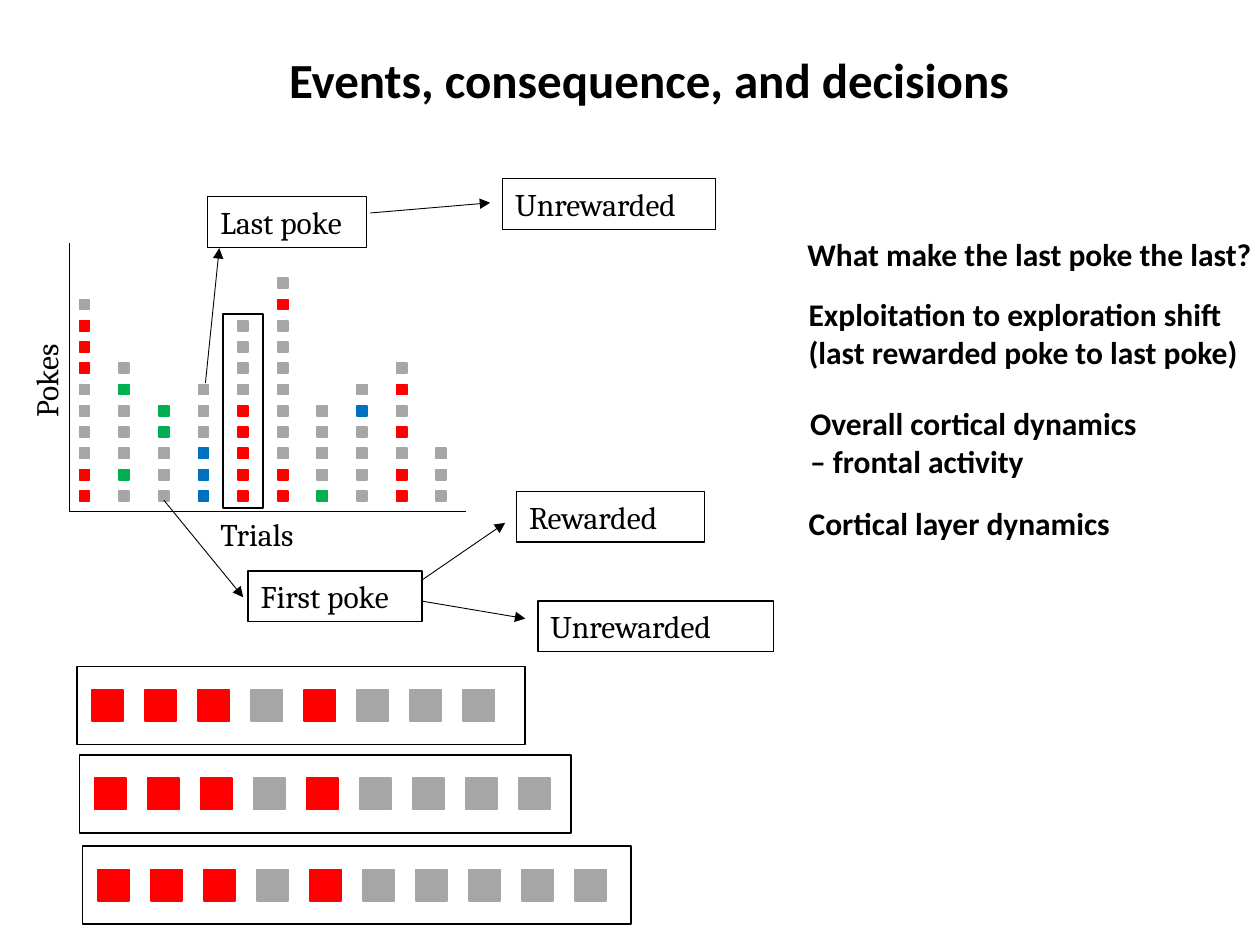
from pptx import Presentation
from pptx.dml.color import RGBColor
from pptx.enum.shapes import MSO_CONNECTOR, MSO_SHAPE
from pptx.enum.text import MSO_ANCHOR, PP_ALIGN
from pptx.oxml.ns import qn
from pptx.util import Pt
from lxml import etree

RECTANGLE = MSO_SHAPE.RECTANGLE
STRAIGHT = MSO_CONNECTOR.STRAIGHT
MIDDLE, TOP = MSO_ANCHOR.MIDDLE, MSO_ANCHOR.TOP
CENTER, LEFT = PP_ALIGN.CENTER, PP_ALIGN.LEFT

COLORS = {"ink": "000000", "R": "FF0000", "A": "A6A6A6", "G": "00B050", "B": "0070C0"}

TRIALS = ["RRAAAARRRA", "AGAAAGA", "AAAGG", "BBBAAA", "RRRRRAAAA",
          "RRAAAAAAARA", "GAAAA", "AAAABA", "RRARARA", "AAA"]
TRIAL_LEFT, TRIAL_STEP = 45.4, 22.65
POKE_BOTTOM, POKE_STEP, POKE_SIZE = 280.5, 12.16, 5.8

AXES = [(39.6, 139, 39.6, 292.3), (39.6, 292.3, 266.4, 292.3)]
ARROWS = [(211.7, 121.7, 280.1, 115.9), (117.4, 218.9, 125.3, 141.8),
          (93.6, 285.8, 139, 341.3), (240.5, 331.9, 288.7, 298.8),
          (240.5, 343.4, 300.2, 353.5)]
OUTCOMES = [("Last poke", 118.8, 112.3, 90.7), ("First poke", 141.8, 326.2, 99.4),
            ("Unrewarded", 287.3, 102.2, 121.7), ("Rewarded", 295.2, 280.8, 107.3),
            ("Unrewarded", 307.4, 343.4, 134.6)]
QUESTIONS = [
    (["What make the last poke the last?"], 454.3, 131, 270.7, 28.8, False),
    (["Exploitation to exploration shift", "(last rewarded poke to last poke)"],
     455, 164.9, 261.4, 51.1, False),
    (["Overall cortical dynamics – frontal activity"], 455.8, 227.5, 210.2, 51.1, True),
    (["Cortical layer dynamics"], 455, 284.4, 200.9, 28.8, True),
]
SEQUENCES = [("RRRARAAA", 43.9, 380.9, 256.3), ("RRRARAAAA", 45.4, 431.3, 280.8),
             ("RRRARAAAAA", 47.2, 483.5, 313.2)]
SEQUENCE_HEIGHT, EVENT_SIZE, EVENT_STEP = 44.6, 18, 30.3


class SlideBuilder:
    """Draws styled elements on one slide, with lengths in points."""

    def __init__(self, slide):
        self.slide = slide
        self.heading_font, self.label_font = "Calibri", "Cambria"
        self.text_size, self.title_size = 18, 28

    def color(self, key):
        return RGBColor.from_string(COLORS[key])

    def add_lines(self, frame, lines, font, size, bold=False, align=LEFT):
        for number, line in enumerate(lines):
            paragraph = frame.add_paragraph() if number else frame.paragraphs[0]
            paragraph.alignment = align
            run = paragraph.add_run()
            run.text = line
            run.font.name, run.font.size, run.font.bold = font, Pt(size), bold
            run.font.color.rgb = self.color("ink")

    def title(self, text, left, top, width, height):
        title = self.slide.shapes.title
        title.left, title.top, title.width, title.height = map(Pt, (left, top, width, height))
        title.text_frame.vertical_anchor = MIDDLE
        self.add_lines(title.text_frame, [text], self.heading_font, self.title_size, True, CENTER)
        title.text_frame.paragraphs[0].line_spacing = 0.9

    def text(self, lines, left, top, width, height, font, bold=False, wrap=True, rotation=0):
        box = self.slide.shapes.add_textbox(*map(Pt, (left, top, width, height)))
        box.rotation = rotation
        box.text_frame.word_wrap = wrap
        self.add_lines(box.text_frame, lines, font, self.text_size, bold)

    def rectangle(self, left, top, width, height, fill=None, line_width=1, shapes=None):
        shapes = self.slide.shapes if shapes is None else shapes
        rectangle = shapes.add_shape(RECTANGLE, *map(Pt, (left, top, width, height)))
        rectangle.shadow.inherit = False
        if fill:
            rectangle.fill.solid()
            rectangle.fill.fore_color.rgb = self.color(fill)
        else:
            rectangle.fill.background()
        rectangle.line.color.rgb = self.color(fill or "ink")
        rectangle.line.width = Pt(line_width)
        return rectangle

    def outcome(self, label, left, top, width):
        frame = self.rectangle(left, top, width, 29, line_width=0.75).text_frame
        frame.word_wrap = True
        frame.vertical_anchor = TOP
        self.add_lines(frame, [label], self.label_font, self.text_size)

    def line(self, ends, arrow=False):
        connector = self.slide.shapes.add_connector(STRAIGHT, *map(Pt, ends))
        connector.line.color.rgb = self.color("ink")
        connector.line.width = Pt(0.5)
        properties = connector._element.spPr
        if arrow:
            etree.SubElement(properties.find(qn("a:ln")), qn("a:tailEnd"), type="triangle")
        etree.SubElement(properties, qn("a:effectLst"))

    def trial(self, pokes, left):
        for row, outcome in enumerate(pokes):
            self.rectangle(left, POKE_BOTTOM - row * POKE_STEP, POKE_SIZE, POKE_SIZE, outcome)

    def sequence(self, events, left, top, width):
        shapes = self.slide.shapes.add_group_shape().shapes
        event_top = top + (SEQUENCE_HEIGHT - EVENT_SIZE) / 2
        for column, outcome in enumerate(events):
            self.rectangle(left + 8.6 + column * EVENT_STEP, event_top,
                           EVENT_SIZE, EVENT_SIZE, outcome, shapes=shapes)
        self.rectangle(left, top, width, SEQUENCE_HEIGHT, shapes=shapes)


def main():
    deck = Presentation()
    deck.slide_width, deck.slide_height = Pt(720), Pt(540)
    builder = SlideBuilder(deck.slides.add_slide(deck.slide_layouts[5]))

    builder.title("Events, consequence, and decisions", 60.5, 26.6, 620.6, 41)
    for axis in AXES:
        builder.line(axis)
    for column, pokes in enumerate(TRIALS):
        builder.trial(pokes, TRIAL_LEFT + column * TRIAL_STEP)
    builder.text(["Trials"], 118.8, 290.9, 59.8, 28.1, builder.label_font)
    builder.text(["Pokes"], -12.2, 193, 77, 28.8, builder.label_font, rotation=270)
    for outcome in OUTCOMES:
        builder.outcome(*outcome)
    for arrow in ARROWS:
        builder.line(arrow, arrow=True)
    builder.rectangle(127.4, 179.3, 23, 110.9)
    for lines, left, top, width, height, wrap in QUESTIONS:
        builder.text(lines, left, top, width, height, builder.heading_font, True, wrap)
    for sequence in SEQUENCES:
        builder.sequence(*sequence)

    deck.save("out.pptx")


if __name__ == "__main__":
    main()
